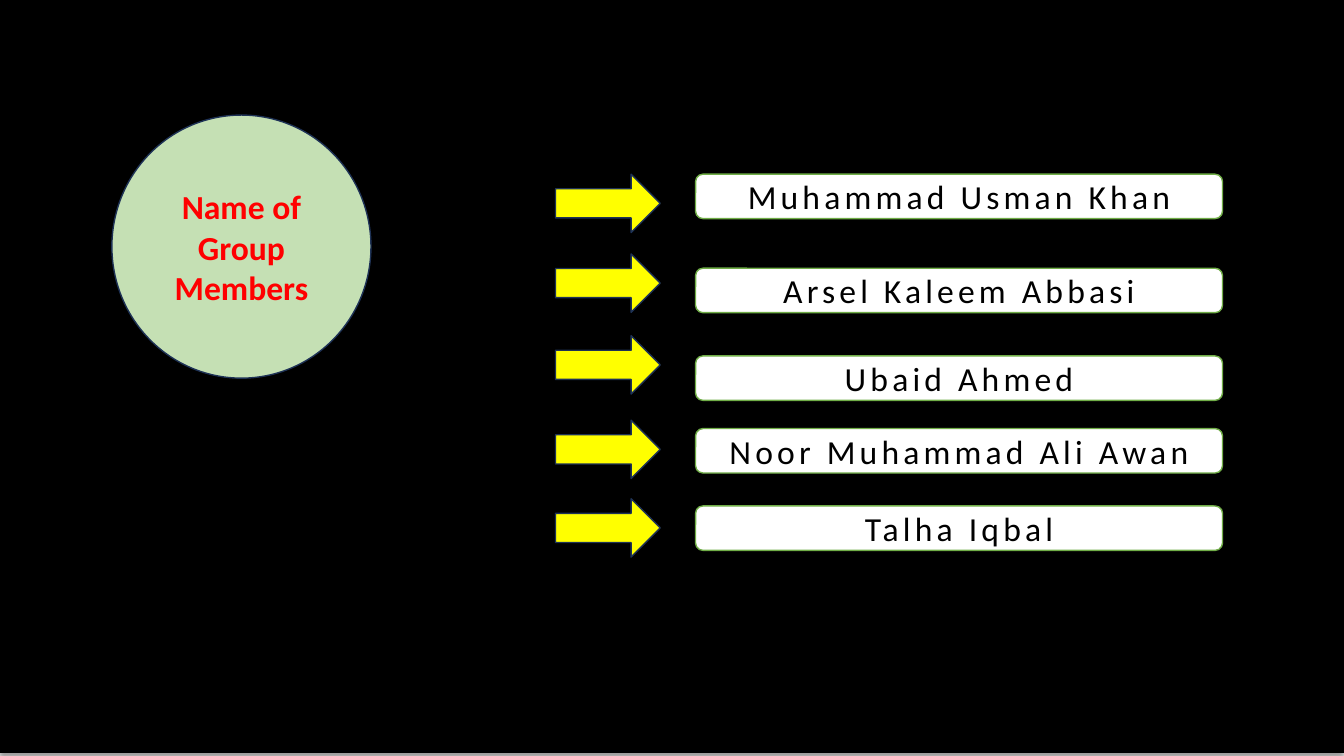
from lxml import etree
from pptx import Presentation
from pptx.dml.color import RGBColor
from pptx.enum.shapes import MSO_SHAPE
from pptx.enum.text import MSO_ANCHOR, PP_ALIGN
from pptx.oxml.ns import qn
from pptx.util import Cm, Pt

HEADING = "Name of Group Members"
MEMBERS = [
    ("Muhammad Usman Khan", 4.39, 4.39),
    ("Arsel Kaleem Abbasi", 6.4, 6.76),
    ("Ubaid Ahmed", 8.46, 8.97),
    ("Noor Muhammad Ali Awan", 10.59, 10.8),
    ("Talha Iqbal", 12.57, 12.75),
]

SLIDE_WIDTH, SLIDE_HEIGHT = 33.87, 19.05
BACKDROP_BOX = (0, -0.08, SLIDE_WIDTH, SLIDE_HEIGHT)
CIRCLE_BOX = (2.82, 2.9, 6.53, 6.63)
ARROW_LEFT, ARROW_WIDTH, ARROW_HEIGHT = 14, 2.64, 1.47
NAME_LEFT, NAME_WIDTH, NAME_HEIGHT = 17.53, 13.28, 1.12

BLACK = RGBColor(0x00, 0x00, 0x00)
WHITE = RGBColor(0xFF, 0xFF, 0xFF)
RED = RGBColor(0xFF, 0x00, 0x00)
YELLOW = RGBColor(0xFF, 0xFF, 0x00)
PALE_GREEN = RGBColor(0xC5, 0xE0, 0xB4)
GREEN = RGBColor(0x70, 0xAD, 0x47)
NAVY = RGBColor(0x1E, 0x32, 0x56)

RECTANGLE = MSO_SHAPE.RECTANGLE
OVAL = MSO_SHAPE.OVAL
RIGHT_ARROW = MSO_SHAPE.RIGHT_ARROW
ROUNDED_RECTANGLE = MSO_SHAPE.ROUNDED_RECTANGLE
CENTER = PP_ALIGN.CENTER
MIDDLE = MSO_ANCHOR.MIDDLE

HEADING_FORMAT = {"name": "Calibri", "size": Pt(24), "bold": True}
NAME_FORMAT = {"name": "Calibri", "size": Pt(24)}
NAME_SPACING = "300"


def add_box(slide, kind, box, fill, line):
    shape = slide.shapes.add_shape(kind, *map(Cm, box))
    shape.shadow.inherit = False
    shape.fill.solid()
    shape.fill.fore_color.rgb = fill
    shape.line.color.rgb = line
    shape.line.width = Pt(1)
    return shape


def add_shadow(shape):
    effects = shape.element.spPr.find(qn("a:effectLst"))
    shadow = etree.SubElement(
        effects, qn("a:outerShdw"),
        blurRad=str(Pt(4)), dist=str(Pt(3)), dir="5400000", rotWithShape="0",
    )
    color = etree.SubElement(shadow, qn("a:srgbClr"), val=str(BLACK))
    etree.SubElement(color, qn("a:alpha"), val="40000")


def write_text(shape, text, values, color):
    frame = shape.text_frame
    frame.word_wrap = True
    frame.vertical_anchor = MIDDLE
    paragraph = frame.paragraphs[0]
    paragraph.alignment = CENTER
    run = paragraph.add_run()
    run.text = text
    for key, value in values.items():
        setattr(run.font, key, value)
    run.font.color.rgb = color
    return run


def main():
    presentation = Presentation()
    presentation.slide_width = Cm(SLIDE_WIDTH)
    presentation.slide_height = Cm(SLIDE_HEIGHT)
    slide = presentation.slides.add_slide(presentation.slide_layouts[6])

    backdrop = add_box(slide, RECTANGLE, BACKDROP_BOX, BLACK, BLACK)
    add_shadow(backdrop)
    circle = add_box(slide, OVAL, CIRCLE_BOX, PALE_GREEN, NAVY)
    write_text(circle, HEADING, HEADING_FORMAT, RED)

    for name, arrow_top, name_top in MEMBERS:
        arrow_box = (ARROW_LEFT, arrow_top, ARROW_WIDTH, ARROW_HEIGHT)
        add_box(slide, RIGHT_ARROW, arrow_box, YELLOW, NAVY)
        name_box = (NAME_LEFT, name_top, NAME_WIDTH, NAME_HEIGHT)
        plate = add_box(slide, ROUNDED_RECTANGLE, name_box, WHITE, GREEN)
        run = write_text(plate, name, NAME_FORMAT, BLACK)
        run.font._element.set("spc", NAME_SPACING)

    presentation.save("out.pptx")


if __name__ == "__main__":
    main()
